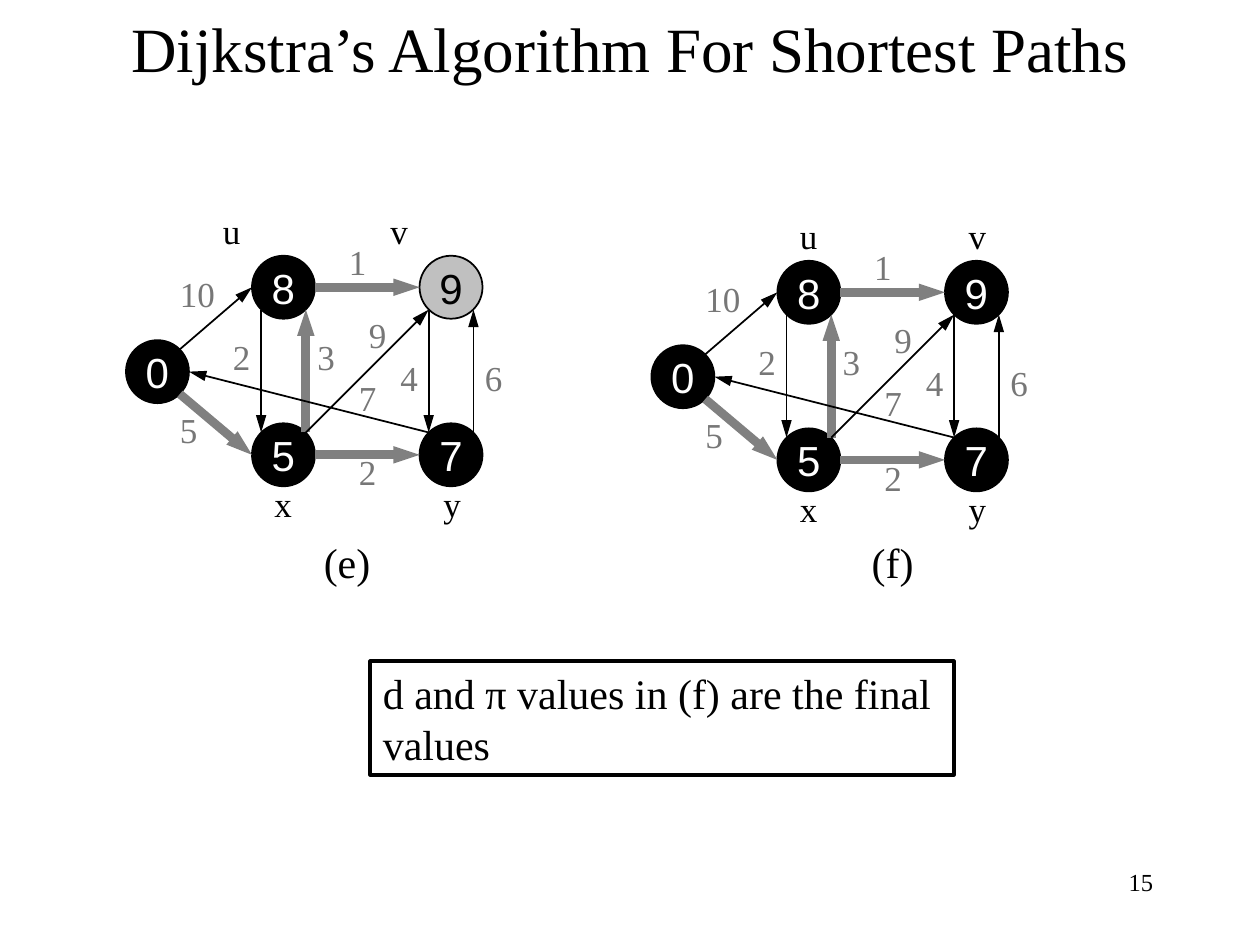
import pptx
import pptx.dml.color
import pptx.enum.shapes
import pptx.enum.text
import pptx.oxml
import pptx.oxml.ns
import pptx.util

Inches, Pt = pptx.util.Inches, pptx.util.Pt
ALIGN = pptx.enum.text.PP_ALIGN
ANCHOR = pptx.enum.text.MSO_ANCHOR
SHAPE = pptx.enum.shapes.MSO_SHAPE
BLACK, WHITE, SILVER, GRAY, WEIGHT = "000000", "FFFFFF", "C0C0C0", "808080", "777777"
SERIF, SANS = "Times New Roman", "Arial"

DIAMETER = 0.5
RADIUS = DIAMETER / 2
DIAGONAL = RADIUS * 0.71
SIDES = {
    "e": (RADIUS, 0), "w": (-RADIUS, 0),
    "ne": (DIAGONAL, -DIAGONAL), "nw": (-DIAGONAL, -DIAGONAL),
    "se": (DIAGONAL, DIAGONAL), "sw": (-DIAGONAL, DIAGONAL),
}
CENTERS = {"u": (1.25, 0.25), "v": (2.58, 0.25), "x": (1.25, 1.58),
           "y": (2.58, 1.58), "s": (0.25, 0.92)}
DISTANCES = {"u": "8", "v": "9", "x": "5", "y": "7", "s": "0"}
EDGES = [
    ("x", "ne", "u", "se", True), ("u", "sw", "x", "nw", False),
    ("u", "e", "v", "w", True), ("x", "ne", "v", "sw", False),
    ("v", "sw", "y", "nw", False), ("y", "ne", "v", "se", False),
    ("x", "e", "y", "w", True), ("y", "nw", "s", "e", False),
    ("s", "se", "x", "w", True), ("s", "ne", "u", "w", False),
]
LOWER_NAMES = [("y", 2.42, 1.75), ("x", 1.08, 1.75)]
WEIGHTS = [
    ("10", 0.33, 0.08), ("5", 0.33, 1.16), ("1", 1.67, -0.17),
    ("2", 0.75, 0.58), ("3", 1.42, 0.58), ("9", 1.83, 0.41), ("4", 2.08, 0.75),
    ("6", 2.75, 0.75), ("7", 1.75, 0.91), ("2", 1.75, 1.5),
]
WIDE_WEIGHTS = {"10", "5", "1"}


def color(value):
    """Turn a hex string into a colour."""
    return pptx.dml.color.RGBColor.from_string(value)


class Canvas:
    """Hold the text style, the slide and the shapes being drawn on."""

    def __init__(self, page):
        """Start drawing on the slide itself."""
        self.page = page
        self.shapes = page.shapes

    def set_text(self, box, text, size, ink=BLACK, font=SERIF, align=ALIGN.LEFT,
                 anchor=ANCHOR.TOP, wrap=True):
        """Fill a box with styled text."""
        frame = box.text_frame
        frame.text = text
        frame.word_wrap = wrap
        frame.vertical_anchor = anchor
        for para in frame.paragraphs:
            para.alignment = align
            for span in para.runs:
                span.font.name = font
                span.font.size = Pt(size)
                span.font.color.rgb = color(ink)

    def label(self, text, left, top, width, height, size, **style):
        """Add a text box."""
        box = self.shapes.add_textbox(*map(Inches, (left, top, width, height)))
        self.set_text(box, text, size, **style)
        return box

    def outline(self, kind, left, top, width, height, fill, line, weight):
        """Add a preset shape without shadow."""
        shape = self.shapes.add_shape(kind, *map(Inches, (left, top, width, height)))
        shape.shadow.inherit = False
        if fill:
            shape.fill.solid()
            shape.fill.fore_color.rgb = color(fill)
        else:
            shape.fill.background()
        shape.line.color.rgb = color(line)
        shape.line.width = Pt(weight)
        return shape

    def node(self, text, x, y, fill, ink):
        """Add a vertex centred on a point."""
        shape = self.outline(SHAPE.OVAL, x - RADIUS, y - RADIUS, DIAMETER, DIAMETER,
                             fill, BLACK, 1)
        self.set_text(shape, text, 24, ink, SANS, ALIGN.CENTER, ANCHOR.MIDDLE, wrap=False)

    def arrow(self, start, end, heavy):
        """Add a directed edge, heavy when it lies on the shortest-path tree."""
        edge = self.shapes.add_connector(pptx.enum.shapes.MSO_CONNECTOR.STRAIGHT,
                                         *map(Inches, (*start, *end)))
        edge.line.color.rgb = color(GRAY if heavy else BLACK)
        edge.line.width = Pt(5 if heavy else 1)
        width, length = ("sm", "med") if heavy else ("med", "lg")
        namespace = pptx.oxml.ns.nsdecls("a")
        properties = edge.element.spPr
        properties.find(pptx.oxml.ns.qn("a:ln")).append(pptx.oxml.parse_xml(
            f'<a:tailEnd {namespace} type="triangle" w="{width}" len="{length}"/>'))
        properties.append(pptx.oxml.parse_xml(f"<a:effectLst {namespace}/>"))

    def graph(self, left, top, upper_names, pending=()):
        """Draw the graph, with pending vertices in silver."""
        def end(name, side):
            """Find the point on one side of a vertex."""
            (x, y), (across, down) = CENTERS[name], SIDES[side]
            return left + x + across, top + y + down

        for name, (x, y) in CENTERS.items():
            fill, ink = (SILVER, BLACK) if name in pending else (BLACK, WHITE)
            self.node(DISTANCES[name], left + x, top + y, fill, ink)
        for source, leaving, target, entering, heavy in EDGES:
            self.arrow(end(source, leaving), end(target, entering), heavy)
        labels = [(item, BLACK) for item in upper_names + LOWER_NAMES]
        labels += [(item, WEIGHT) for item in WEIGHTS]
        for (text, x, y), ink in labels:
            width = 0.5 if text in WIDE_WEIGHTS else 0.33
            box = self.label(text, left + x, top + y, width, 0.44, 20, ink=ink)
            box.text_frame.auto_size = pptx.enum.text.MSO_AUTO_SIZE.SHAPE_TO_FIT_TEXT

    def caption(self, text, left):
        """Name a graph."""
        shape = self.outline(SHAPE.RECTANGLE, left, 4.25, 1.17, 0.42, WHITE, WHITE, 2)
        self.set_text(shape, text, 24, align=ALIGN.CENTER, anchor=ANCHOR.MIDDLE)

    def note(self, text, left, top, width, height):
        """Add a framed remark."""
        shape = self.outline(SHAPE.RECTANGLE, left, top, width, height, None, BLACK, 2.25)
        self.set_text(shape, text, 24)


def main():
    """Build and save the slide."""
    deck = pptx.Presentation()
    deck.slide_width, deck.slide_height = Inches(10), Inches(7.5)
    page = deck.slides.add_slide(deck.slide_layouts[6])
    canvas = Canvas(page)
    canvas.label("15", 7.17, 6.83, 2.08, 0.5, 14, align=ALIGN.RIGHT)
    canvas.graph(1, 2.03, [("u", 0.67, -0.42), ("v", 2, -0.42)], pending=("v",))
    canvas.shapes = page.shapes.add_group_shape().shapes
    canvas.graph(5.17, 2.07, [("u", 1.08, -0.42), ("v", 2.42, -0.42)])
    canvas.shapes = page.shapes
    canvas.label("Dijkstra’s Algorithm For Shortest Paths", 0.5, 0, 9, 0.75, 36,
                 align=ALIGN.CENTER, anchor=ANCHOR.MIDDLE)
    canvas.caption("(e)", 2.17)
    canvas.caption("(f)", 6.5)
    canvas.note("d and π values in (f) are the final\nvalues", 2.94, 5.25, 4.63, 0.9)
    deck.save("out.pptx")


if __name__ == "__main__":
    main()
